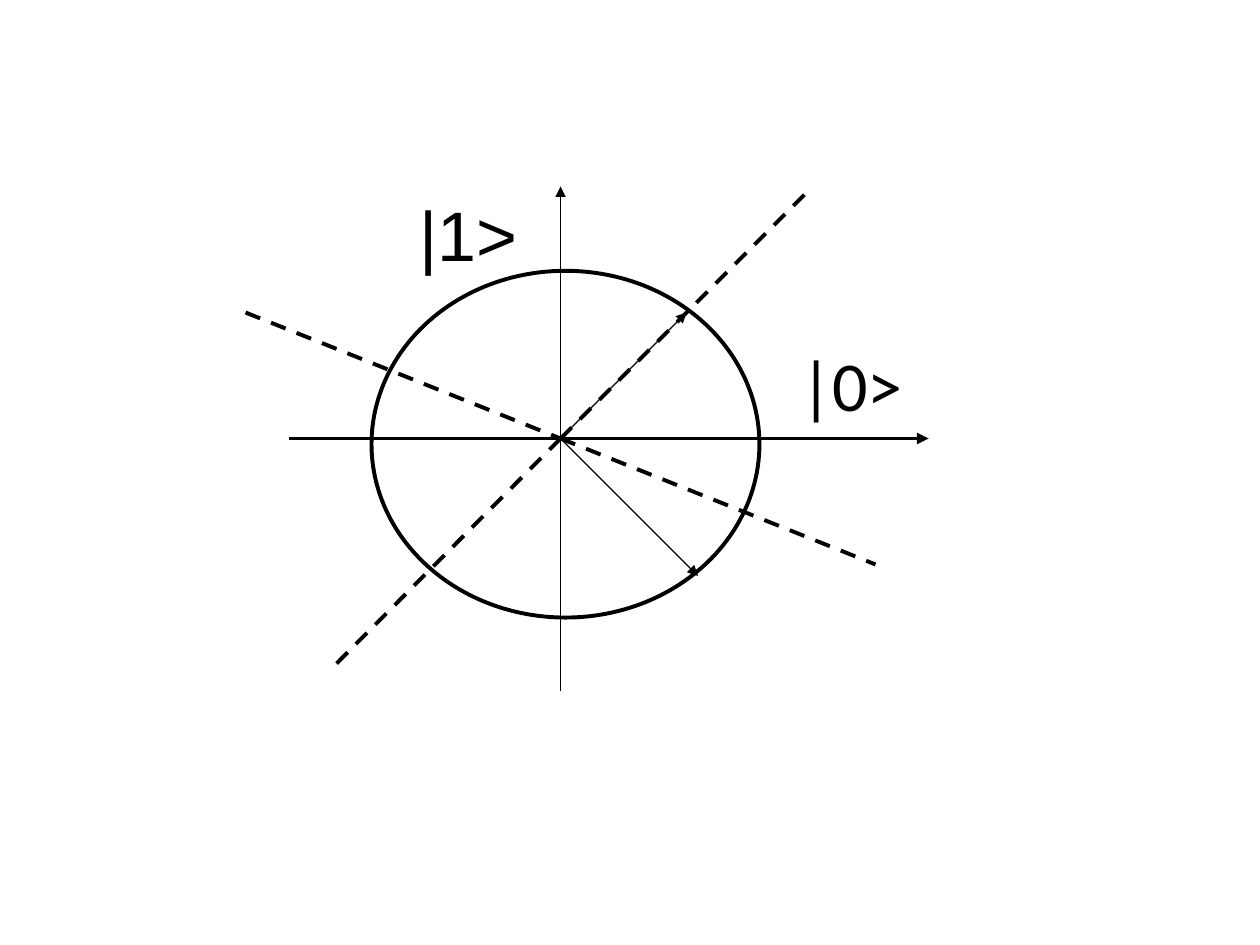
from dataclasses import dataclass

from lxml import etree
from pptx import Presentation
from pptx.dml.color import RGBColor
from pptx.enum.dml import MSO_LINE
from pptx.enum.shapes import MSO_CONNECTOR, MSO_SHAPE
from pptx.enum.text import MSO_ANCHOR, MSO_AUTO_SIZE
from pptx.oxml.ns import qn
from pptx.util import Cm, Pt

STRAIGHT = MSO_CONNECTOR.STRAIGHT
ELLIPSE = MSO_SHAPE.OVAL
DASH = MSO_LINE.DASH
MIDDLE = MSO_ANCHOR.MIDDLE
NO_FIT = MSO_AUTO_SIZE.NONE
GROW = MSO_AUTO_SIZE.SHAPE_TO_FIT_TEXT
BLANK_LAYOUT = 6


@dataclass(frozen=True)
class Theme:
    ink: RGBColor = RGBColor(0, 0, 0)
    paper: RGBColor = RGBColor(255, 255, 255)
    thin: Pt = Pt(0.75)
    thick: Pt = Pt(2.25)
    label_size: Pt = Pt(40)


THEME = Theme()
ORIGIN = (11.3, 8.84)


def add_circle(page, left, top, width, height):
    circle = page.shapes.add_shape(ELLIPSE, Cm(left), Cm(top), Cm(width), Cm(height))
    circle.shadow.inherit = False
    circle.fill.solid()
    circle.fill.fore_color.rgb = THEME.paper
    circle.line.color.rgb = THEME.ink
    circle.line.width = THEME.thick


def add_ray(shapes, start, end, width, dashed=False, arrow=False):
    """Draw a line between two (x, y) offsets in cm from the origin."""
    points = [Cm(base + offset) for point in (start, end)
              for base, offset in zip(ORIGIN, point)]
    ray = shapes.add_connector(STRAIGHT, *points)
    ray.line.color.rgb = THEME.ink
    ray.line.width = width
    if dashed:
        ray.line.dash_style = DASH
    properties = ray._element.spPr
    if arrow:
        outline = properties.find(qn("a:ln"))
        etree.SubElement(outline, qn("a:tailEnd"), type="triangle")
    etree.SubElement(properties, qn("a:effectLst"))


def add_label(page, text, place, font_name, wrap, fit):
    box = page.shapes.add_textbox(*[Cm(length) for length in place])
    frame_format = {"word_wrap": wrap, "auto_size": fit, "vertical_anchor": MIDDLE}
    for name, value in frame_format.items():
        setattr(box.text_frame, name, value)
    span = box.text_frame.paragraphs[0].add_run()
    span.text = text
    for name, value in {"name": font_name, "size": THEME.label_size}.items():
        setattr(span.font, name, value)
    span.font.color.rgb = THEME.ink


def main():
    deck = Presentation()
    deck.slide_width, deck.slide_height = Cm(25.4), Cm(19.05)
    page = deck.slides.add_slide(deck.slide_layouts[BLANK_LAYOUT])
    center = (0, 0)

    add_circle(page, 7.49, 5.46, 7.82, 6.99)
    add_ray(page.shapes, (0, 5.08), (0, -5.08), THEME.thin, arrow=True)
    add_ray(page.shapes, (-5.48, 0), (7.42, 0), THEME.thick, arrow=True)
    for end in ((-4.65, 4.67), (5.08, -5.08)):
        add_ray(page.shapes, center, end, THEME.thick, dashed=True)

    add_label(page, "|1>", (8.2, 3.76, 2.36, 1.91), "Arial", False, NO_FIT)
    add_label(page, "|0>", (15.88, 6.76, 2.97, 1.96), "Calibri", True, GROW)

    state_vectors = page.shapes.add_group_shape()
    for end in ((2.54, -2.54), (2.77, 2.77)):
        add_ray(state_vectors.shapes, center, end, THEME.thin, arrow=True)

    tilted_axis = page.shapes.add_group_shape()
    for start, end in (((-6.35, -2.54), center), (center, (6.35, 2.54))):
        add_ray(tilted_axis.shapes, start, end, THEME.thick, dashed=True)

    deck.save("out.pptx")


if __name__ == "__main__":
    main()
